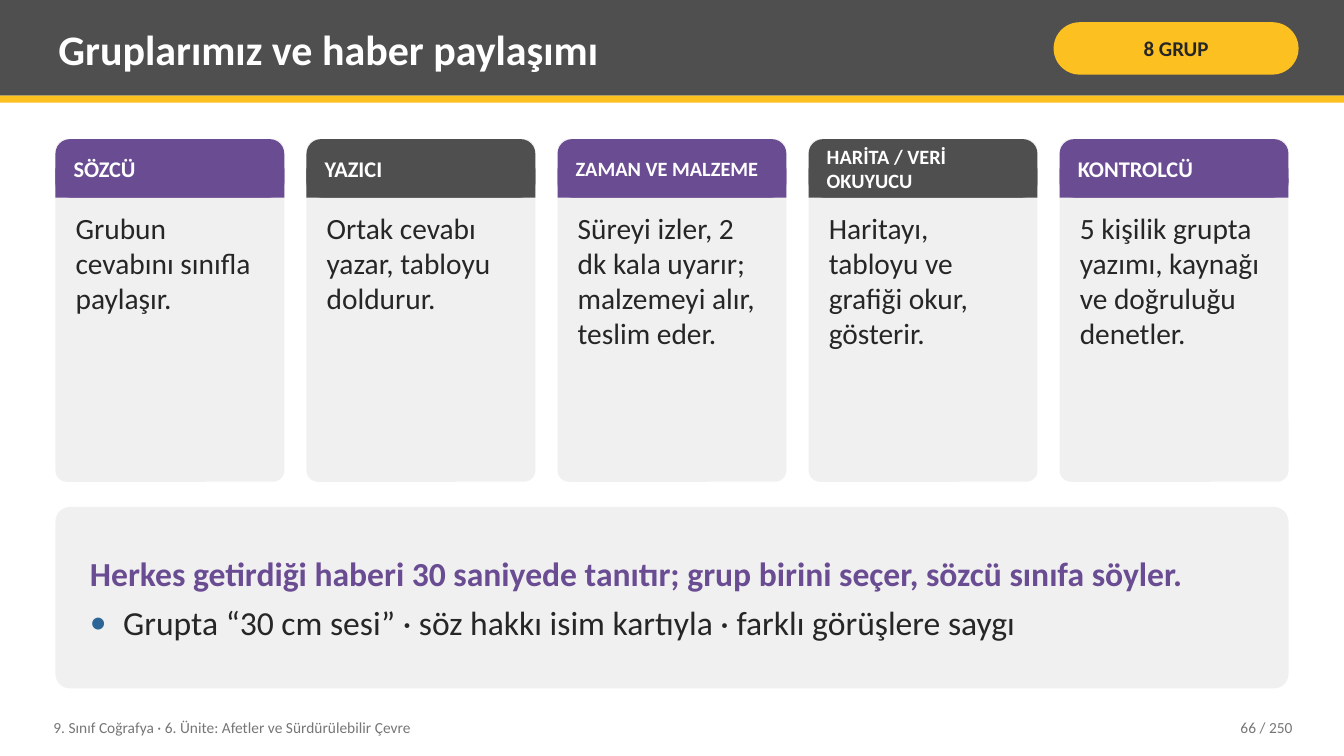
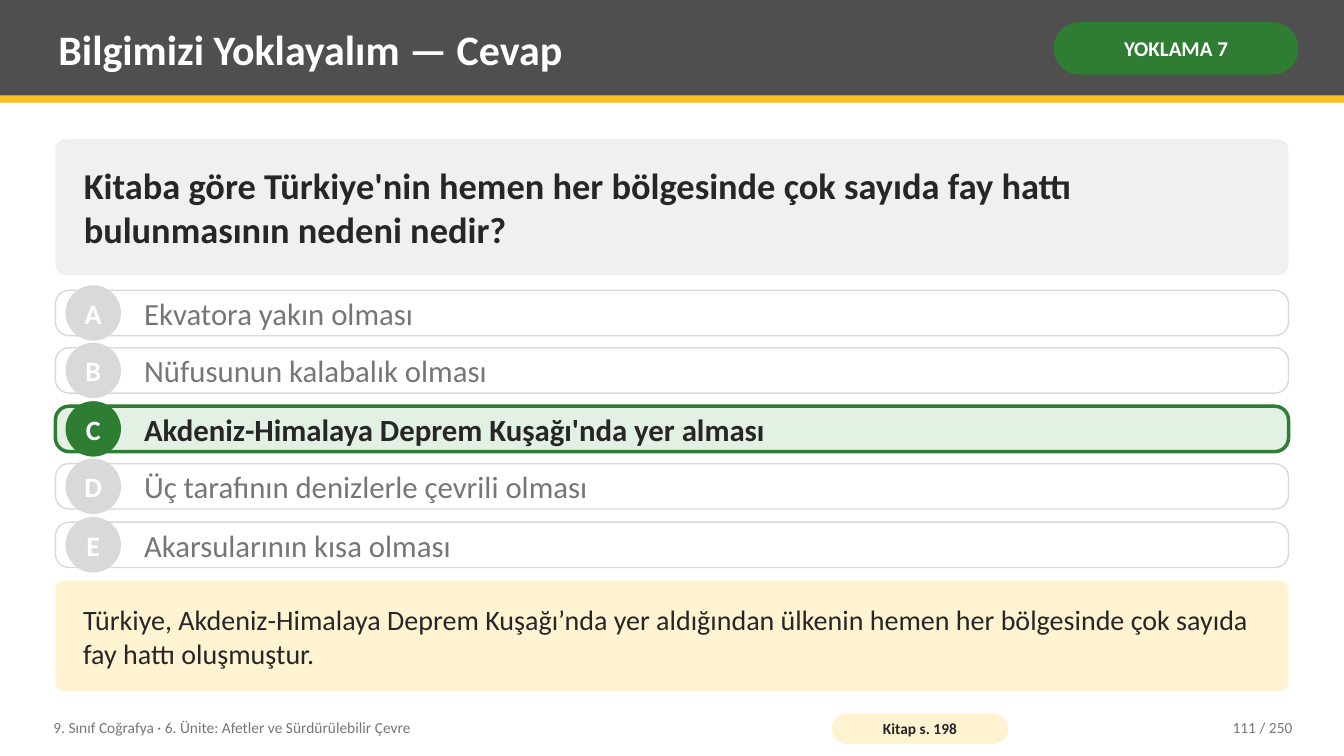
import collections

import lxml.etree
import pptx
import pptx.dml.color
import pptx.enum.shapes
import pptx.enum.text
import pptx.oxml.ns
import pptx.util

EMU_PER_PX = 9144
SLIDE_W, SLIDE_H = 1333, 750
MARGIN, CONTENT_TOP, CONTENT_W = 55, 138, 1223
FONT = "Calibri"
COURSE = "9. Sınıf Coğrafya · 6. Ünite: Afetler ve Sürdürülebilir Çevre"
PAGE_COUNT = 250

WHITE, INK, GRAY = "FFFFFF", "262626", "767676"
SLATE, YELLOW, CREAM = "4F4F4F", "FCC021", "FFF3D1"
PANEL, SILVER = "F0F0F0", "D9D9D9"
PURPLE, BLUE = "6A4C93", "2C6696"
GREEN, MINT = "2E7D32", "E3F1E4"

SHAPE = pptx.enum.shapes.MSO_SHAPE
ALIGN = pptx.enum.text.PP_ALIGN
ANCHOR = pptx.enum.text.MSO_ANCHOR

Box = collections.namedtuple("Box", "left top width height")


def px(length):
    """Turn pixels into EMU."""
    return pptx.util.Emu(length * EMU_PER_PX)


def color(code):
    """Turn a hex string into a colour."""
    return pptx.dml.color.RGBColor.from_string(code)


def style(paragraph, size, ink, bold=False, align=ALIGN.LEFT):
    """Format a paragraph and its runs."""
    paragraph.alignment = align
    for run in paragraph.runs:
        run.font.name = FONT
        run.font.size = pptx.util.Pt(size)
        run.font.bold = bold
        run.font.color.rgb = color(ink)


def set_frame(frame, inset=(8, 4), anchor=ANCHOR.MIDDLE, wrap=True):
    """Set the insets, anchor and wrapping of a text frame."""
    across, down = inset
    frame.margin_left = frame.margin_right = px(across)
    frame.margin_top = frame.margin_bottom = px(down)
    frame.vertical_anchor = anchor
    frame.word_wrap = wrap


def add_panel(slide, box, fill, kind=SHAPE.RECTANGLE, rounding=None, line=None, line_pt=1):
    """Add a filled shape, outlined if a line colour is given."""
    panel = slide.shapes.add_shape(kind, *map(px, box))
    panel.shadow.inherit = False
    panel.fill.solid()
    panel.fill.fore_color.rgb = color(fill)
    if rounding is not None:
        panel.adjustments[0] = rounding
    if line:
        panel.line.color.rgb = color(line)
        panel.line.width = pptx.util.Pt(line_pt)
    else:
        panel.line.fill.background()
    return panel


def add_rounded(slide, box, fill, rounding, **line):
    """Add a rounded panel."""
    return add_panel(slide, box, fill, SHAPE.ROUNDED_RECTANGLE, rounding, **line)


def write(shape, text, size, ink, bold=False, align=ALIGN.LEFT, **frame):
    """Write one formatted paragraph into a shape."""
    set_frame(shape.text_frame, **frame)
    shape.text_frame.text = text
    style(shape.text_frame.paragraphs[0], size, ink, bold, align)


def add_label(slide, box, *text, **layout):
    """Add a text box with one paragraph."""
    write(slide.shapes.add_textbox(*map(px, box)), *text, **layout)


def add_bullet(paragraph, ink, indent):
    """Give a paragraph a coloured bullet with a hanging indent."""
    properties = paragraph._p.get_or_add_pPr()
    properties.set("marL", str(px(indent)))
    properties.set("indent", str(-px(indent)))
    qn = pptx.oxml.ns.qn
    bullet_color = lxml.etree.SubElement(properties, qn("a:buClr"))
    lxml.etree.SubElement(bullet_color, qn("a:srgbClr"), val=ink)
    lxml.etree.SubElement(properties, qn("a:buFont"), typeface=FONT)
    lxml.etree.SubElement(properties, qn("a:buChar"), char="•")


def add_header(slide, title, tag, tag_fill, tag_ink):
    """Add the title band and its tag."""
    add_panel(slide, Box(0, 0, SLIDE_W, 95), SLATE)
    add_panel(slide, Box(0, 95, SLIDE_W, 7), YELLOW)
    add_label(slide, Box(50, 7, 975, 82), title, 30, WHITE, True)
    pill = add_rounded(slide, Box(1045, 22, 243, 52), tag_fill, 0.5)
    write(pill, tag, 15, tag_ink, True, ALIGN.CENTER, inset=(5, 2))


def add_footer(slide, page, source=None):
    """Add the course name, the page number and an optional book reference."""
    top, height = 704, 36
    add_label(slide, Box(45, top, 760, height), COURSE, 11, GRAY)
    if source:
        pill = add_rounded(slide, Box(825, top + 4, 175, 30), CREAM, 0.5)
        write(pill, source, 11, INK, True, ALIGN.CENTER, inset=(4, 0))
    add_label(slide, Box(1130, top, 160, height), f"{page} / {PAGE_COUNT}", 11, GRAY,
              align=ALIGN.RIGHT)


def add_role_card(slide, box, role, duty, accent):
    """Add a card with a coloured role heading above its duty."""
    left, top, width, height = box
    heading_h = 58
    half = heading_h // 2
    heading_size = 16 if len(role) < 12 else 14.5
    add_rounded(slide, box, PANEL, 0.05)
    add_rounded(slide, Box(left, top, width, heading_h), accent, 0.25)
    add_panel(slide, Box(left, top + half, width, half), accent)
    add_label(slide, Box(left + 10, top, width - 20, heading_h), role, heading_size, WHITE, True)
    add_label(slide, Box(left + 12, top + heading_h + 8, width - 24, height - heading_h - 16),
              duty, 21, INK, anchor=ANCHOR.TOP)


def add_task_panel(slide, box, task, rules):
    """Add the panel with the group task and the bulleted rules."""
    panel = add_rounded(slide, box, PANEL, 0.08)
    write(panel, task, 24, PURPLE, True, inset=(30, 8))
    panel.text_frame.paragraphs[0].space_after = pptx.util.Pt(6)
    rules_line = panel.text_frame.add_paragraph()
    rules_line.text = rules
    add_bullet(rules_line, BLUE, 33)
    style(rules_line, 24, INK)


def add_option(slide, box, letter, answer, correct):
    """Add an answer row with its letter badge."""
    left, top, width, height = box
    accent = GREEN if correct else SILVER
    add_rounded(slide, box, MINT if correct else WHITE, 0.3,
                line=accent, line_pt=2.5 if correct else 1)
    badge = add_panel(slide, Box(left + 10, top - 5, height + 10, height + 10), accent, SHAPE.OVAL)
    write(badge, letter, 20, WHITE, True, ALIGN.CENTER, inset=(0, 0), wrap=False)
    add_label(slide, Box(left + 80, top, width - 100, height), answer, 22,
              INK if correct else GRAY, correct)


def build_groups_slide(slide):
    """Build the slide on group roles and news sharing."""
    add_header(slide, "Gruplarımız ve haber paylaşımı", "8 GRUP", YELLOW, INK)
    roles = [
        ("SÖZCÜ", "Grubun cevabını sınıfla paylaşır."),
        ("YAZICI", "Ortak cevabı yazar, tabloyu doldurur."),
        ("ZAMAN VE MALZEME", "Süreyi izler, 2 dk kala uyarır; malzemeyi alır, teslim eder."),
        ("HARİTA / VERİ OKUYUCU", "Haritayı, tabloyu ve grafiği okur, gösterir."),
        ("KONTROLCÜ", "5 kişilik grupta yazımı, kaynağı ve doğruluğu denetler."),
    ]
    gap = 22
    card_w = (CONTENT_W - gap * (len(roles) - 1)) // len(roles)
    for index, (role, duty) in enumerate(roles):
        card = Box(MARGIN + index * (card_w + gap), CONTENT_TOP, card_w, 340)
        add_role_card(slide, card, role, duty, SLATE if index % 2 else PURPLE)
    add_task_panel(
        slide, Box(MARGIN, 503, CONTENT_W, 180),
        "Herkes getirdiği haberi 30 saniyede tanıtır; grup birini seçer, sözcü sınıfa söyler.",
        "Grupta “30 cm sesi” · söz hakkı isim kartıyla · farklı görüşlere saygı")
    add_footer(slide, 66)


def build_answer_slide(slide):
    """Build the quiz slide with the correct answer marked."""
    add_header(slide, "Bilgimizi Yoklayalım — Cevap", "YOKLAMA 7", GREEN, WHITE)
    question = add_rounded(slide, Box(MARGIN, CONTENT_TOP, CONTENT_W, 135), PANEL, 0.08)
    write(question, "Kitaba göre Türkiye'nin hemen her bölgesinde çok sayıda fay hattı "
          "bulunmasının nedeni nedir?", 26, INK, True, inset=(25, 8))
    answers = [
        "Ekvatora yakın olması",
        "Nüfusunun kalabalık olması",
        "Akdeniz-Himalaya Deprem Kuşağı'nda yer alması",
        "Üç tarafının denizlerle çevrili olması",
        "Akarsularının kısa olması",
    ]
    for index, (letter, answer) in enumerate(zip("ABCDE", answers)):
        row = Box(MARGIN, 288 + index * 115 // 2, CONTENT_W, 45)
        add_option(slide, row, letter, answer, letter == "C")
    explanation = add_rounded(slide, Box(MARGIN, 576, CONTENT_W, 110), CREAM, 0.08)
    write(explanation, "Türkiye, Akdeniz-Himalaya Deprem Kuşağı’nda yer aldığından ülkenin hemen "
          "her bölgesinde çok sayıda fay hattı oluşmuştur.", 20, INK, inset=(25, 8))
    add_footer(slide, 111, "Kitap s. 198")


def main():
    """Build and save the presentation."""
    deck = pptx.Presentation()
    deck.slide_width, deck.slide_height = px(SLIDE_W), px(SLIDE_H)
    blank = deck.slide_layouts[6]
    for build in (build_groups_slide, build_answer_slide):
        build(deck.slides.add_slide(blank))
    deck.save("out.pptx")


if __name__ == "__main__":
    main()
